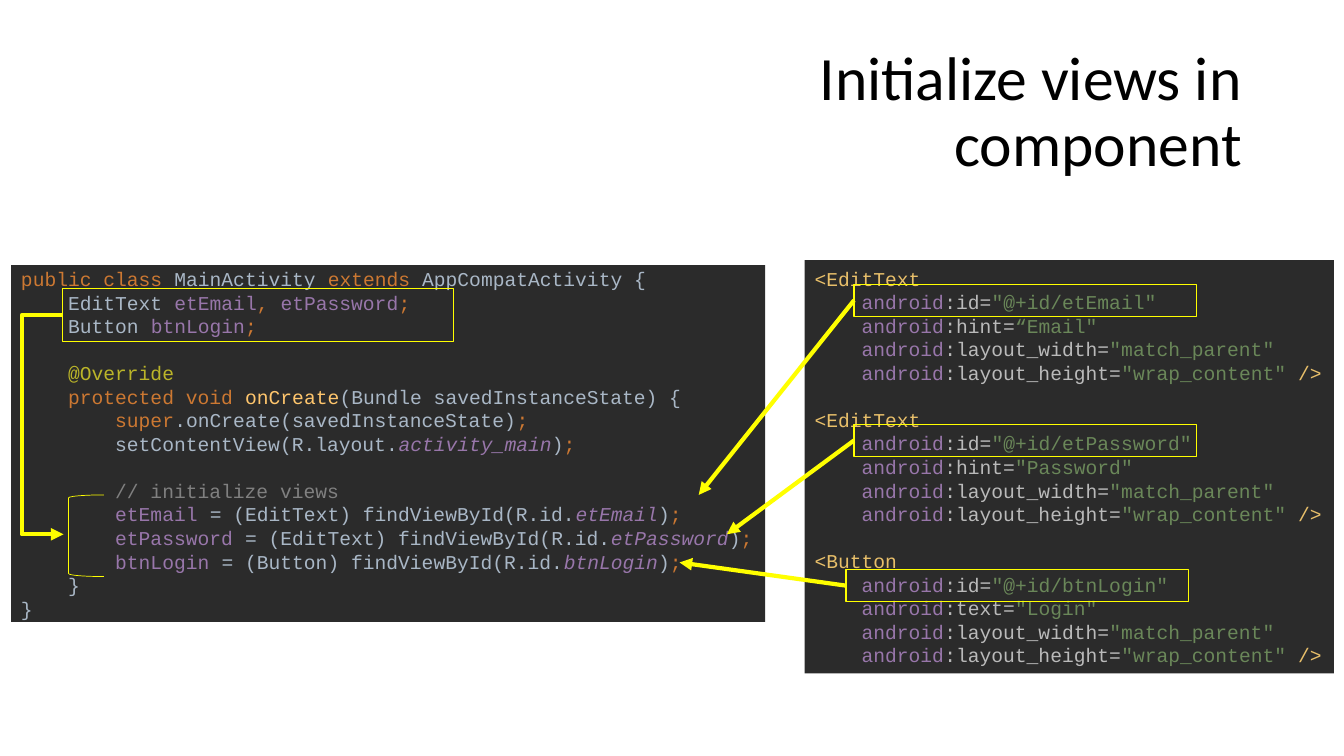
import pptx
import pptx.util
import pptx.dml.color
import pptx.enum.shapes
import pptx.enum.text
import pptx.oxml

PX = 9144
YELLOW = "FFFF00"
KEYWORD, PLAIN, FIELD, COMMENT = "CC7832", "A9B7C6", "9876AA", "808080"
ANNOTATION, METHOD = "BBB529", "FFC66D"
TAG, ATTRIBUTE, STRING = "E8BF6A", "BABABA", "6A8759"
SHAPE = pptx.enum.shapes.MSO_SHAPE
CONNECTOR = pptx.enum.shapes.MSO_CONNECTOR
ALIGN = pptx.enum.text.PP_ALIGN
MIDDLE = pptx.enum.text.MSO_ANCHOR.MIDDLE


def px(*values):
    """Turn pixel lengths into EMU."""
    return [v * PX for v in values]


def paint(color_format, color):
    """Apply a hex colour to a colour format."""
    color_format.rgb = pptx.dml.color.RGBColor.from_string(color)


def add_shape(slide, kind, box, fill=None, line=None, width=1):
    """Add a shape without a shadow, with optional fill and outline."""
    sp = slide.shapes.add_shape(kind, *px(*box))
    sp.shadow.inherit = False
    if fill:
        sp.fill.solid()
        paint(sp.fill.fore_color, fill)
    else:
        sp.fill.background()
    if line:
        paint(sp.line.color, line)
        sp.line.width = pptx.util.Pt(width)
    else:
        sp.line.fill.background()
    return sp


def add_arrow(slide, kind, source, end):
    """Add a yellow arrow from the left side of a shape to a point."""
    start = (source.left // PX, (source.top + source.height // 2) // PX)
    cx = slide.shapes.add_connector(kind, *px(*start, *end))
    cx.begin_connect(source, 1)
    paint(cx.line.color, YELLOW)
    cx.line.width = pptx.util.Pt(3)
    ns = pptx.oxml.ns.qn
    tail = cx.line._get_or_add_ln().makeelement(ns("a:tailEnd"), {"type": "triangle"})
    cx.line._get_or_add_ln().append(tail)
    sp_pr = cx._element.spPr
    sp_pr.append(sp_pr.makeelement(ns("a:effectLst"), {}))
    return cx


def add_code(slide, box, lines):
    """Add a dark panel holding lines of coloured code tokens."""
    sp = add_shape(slide, SHAPE.RECTANGLE, box, fill="2B2B2B")
    tf = sp.text_frame
    tf.word_wrap = False
    tf.vertical_anchor = MIDDLE
    for i, tokens in enumerate(lines):
        p = tf.add_paragraph() if i else tf.paragraphs[0]
        p.alignment = ALIGN.LEFT
        p.line_spacing = pptx.util.Pt(16.8)
        for text, color, *italic in tokens:
            r = p.add_run()
            r.text = text
            r.font.name = "Courier New"
            r.font.size = pptx.util.Pt(14)
            r.font.italic = bool(italic)
            paint(r.font.color, color)


def find_view(name, kind):
    """Return the code line that looks up one view."""
    return [(f"        {name} ", FIELD), (f"= ({kind}) findViewById(R.id.", PLAIN),
            (name, FIELD, "italic"), (")", PLAIN), (";", KEYWORD)]


def view_markup(tag, name, label, value):
    """Return the layout lines that declare one view."""
    attributes = [("id", f'"@+id/{name}"'), (label, value),
                  ("layout_width", '"match_parent"'),
                  ("layout_height", '"wrap_content" ')]
    lines = [[("    android", FIELD), (f":{key}=", ATTRIBUTE), (text, STRING)]
             for key, text in attributes]
    lines[-1].append(("/>", TAG))
    return [[(f"<{tag}", TAG)], *lines]


def add_title(slide, box):
    """Place and format the slide title."""
    sp = slide.shapes.title
    sp.left, sp.top, sp.width, sp.height = px(*box)
    tf = sp.text_frame
    tf.text = "Initialize views in component"
    tf.word_wrap = True
    tf.vertical_anchor = MIDDLE
    p = tf.paragraphs[0]
    p.alignment = ALIGN.RIGHT
    p.line_spacing = 0.9
    r = p.runs[0]
    r.font.name = "Calibri"
    r.font.size = pptx.util.Pt(44)
    paint(r.font.color, "000000")


def add_activity(slide, box):
    """Add the activity code with its declarations linked to their use."""
    add_code(slide, box, [
        [("public class ", KEYWORD), ("MainActivity ", PLAIN),
         ("extends ", KEYWORD), ("AppCompatActivity {", PLAIN)],
        [("    EditText ", PLAIN), ("etEmail", FIELD), (", ", KEYWORD),
         ("etPassword", FIELD), (";", KEYWORD)],
        [("    Button ", PLAIN), ("btnLogin", FIELD), (";", KEYWORD)],
        [],
        [("    @Override", ANNOTATION)],
        [("    protected void ", KEYWORD), ("onCreate", METHOD),
         ("(Bundle savedInstanceState) {", PLAIN)],
        [("        super", KEYWORD), (".onCreate(savedInstanceState)", PLAIN),
         (";", KEYWORD)],
        [("        setContentView(R.layout.", PLAIN),
         ("activity_main", FIELD, "italic"), (")", PLAIN), (";", KEYWORD)],
        [],
        [("        // initialize views", COMMENT)],
        find_view("etEmail", "EditText"),
        find_view("etPassword", "EditText"),
        find_view("btnLogin", "Button"),
        [("    }", PLAIN)],
        [("}", PLAIN)],
    ])
    x, y = box[:2]
    fields = add_shape(slide, SHAPE.RECTANGLE, (x + 51, y + 23, 388, 53), line=YELLOW)
    add_shape(slide, SHAPE.LEFT_BRACKET, (x + 57, y + 228, 35, 81),
              line=YELLOW, width=0.5)
    elbow = add_arrow(slide, CONNECTOR.ELBOW, fields, (x + 52, y + 267))
    guides = elbow._element.spPr.prstGeom.get_or_add_avLst()
    guides.append(guides.makeelement(
        pptx.oxml.ns.qn("a:gd"), {"name": "adj1", "fmla": "val -4100000"}))


def add_layout(slide, box):
    """Add the layout markup with each id linked to its lookup."""
    add_code(slide, box, [
        *view_markup("EditText", "etEmail", "hint", '“Email"'), [],
        *view_markup("EditText", "etPassword", "hint", '"Password"'), [],
        *view_markup("Button", "btnLogin", "text", '"Login"'),
    ])
    x, y = box[:2]
    for dx, dy, end in [(49, 24, (-105, 233)), (49, 163, (-77, 272)),
                        (41, 307, (-124, 300))]:
        name_box = add_shape(slide, SHAPE.RECTANGLE, (x + dx, y + dy, 340, 32),
                             line=YELLOW)
        add_arrow(slide, CONNECTOR.STRAIGHT, name_box, (x + end[0], y + end[1]))


def main():
    """Build and save the slide."""
    prs = pptx.Presentation()
    prs.slide_width, prs.slide_height = px(1333, 750)
    slide = prs.slides.add_slide(prs.slide_layouts[5])
    add_title(slide, (517, 40, 725, 145))
    add_activity(slide, (11, 263, 748, 354))
    add_layout(slide, (798, 258, 525, 410))
    prs.save("out.pptx")


if __name__ == "__main__":
    main()
